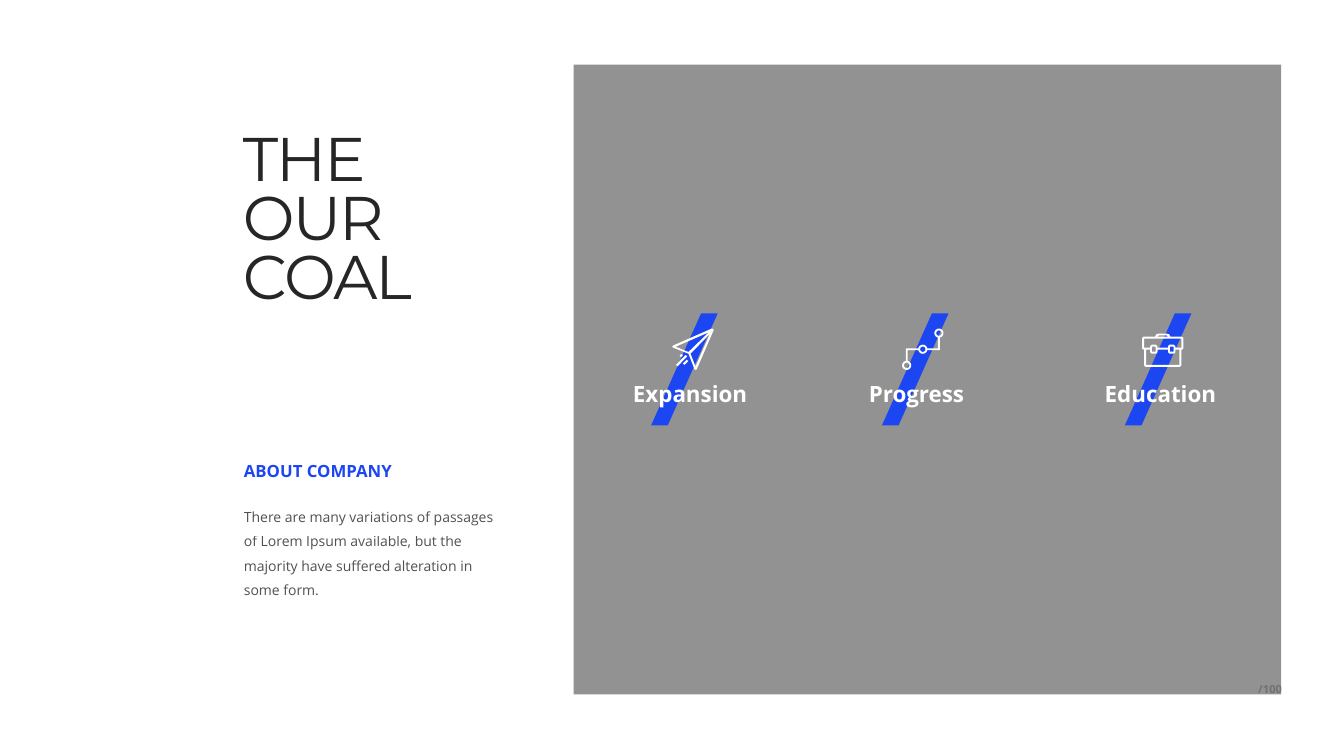
from dataclasses import dataclass
from math import cos, pi, sin

from lxml import etree
from pptx import Presentation
from pptx.dml.color import RGBColor
from pptx.enum.shapes import MSO_SHAPE
from pptx.enum.text import MSO_ANCHOR, MSO_AUTO_SIZE, PP_ALIGN
from pptx.oxml.ns import qn
from pptx.util import Inches, Pt

RECTANGLE = MSO_SHAPE.RECTANGLE
PARALLELOGRAM = MSO_SHAPE.PARALLELOGRAM
LEFT, RIGHT = PP_ALIGN.LEFT, PP_ALIGN.RIGHT
TOP, MIDDLE = MSO_ANCHOR.TOP, MSO_ANCHOR.MIDDLE
FIXED, GROW = MSO_AUTO_SIZE.NONE, MSO_AUTO_SIZE.SHAPE_TO_FIT_TEXT
TITLE_ONLY = 5
COLUMNS, ROWS = 40, 30
ICON_UNIT = 914.4
ICON_SIZE = 410


@dataclass(frozen=True)
class Theme:
    ink: str = "262626"
    accent: str = "1D46F3"
    light: str = "FFFFFF"
    display: str = "Montserrat"
    text: str = "Open Sans"
    title_size: int = 44
    label_size: int = 16
    heading_size: int = 12
    body_size: int = 10
    number_size: int = 8


class SlideBuilder:
    def __init__(self, deck, theme):
        self.theme = theme
        self.column = deck.slide_width / COLUMNS
        self.row = deck.slide_height / ROWS
        self.page = deck.slides.add_slide(deck.slide_layouts[TITLE_ONLY])

    def area(self, left, top, width, height):
        return (round(left * self.column), round(top * self.row),
                round(width * self.column), round(height * self.row))

    def paint(self, fill, color, opacity=100):
        fill.solid()
        fill.fore_color.rgb = RGBColor.from_string(color)
        if opacity < 100:
            for tone in fill._xPr.iter(qn("a:srgbClr")):
                etree.SubElement(tone, qn("a:alpha")).set("val", str(opacity * 1000))

    def finish(self, shape, color, opacity=100):
        shape.shadow.inherit = False
        shape.line.fill.background()
        self.paint(shape.fill, color, opacity)

    def typeset(self, box, text, size, color, font=None, bold=False, opacity=100,
                insets=(0, 0.05, 0, 0.05), wrap=True, fit=FIXED, align=LEFT,
                anchor=TOP, line_spacing=None, tracking=None):
        frame = box.text_frame
        frame.text = text
        frame.word_wrap = wrap
        frame.auto_size = fit
        frame.vertical_anchor = anchor
        (frame.margin_left, frame.margin_top,
         frame.margin_right, frame.margin_bottom) = map(Inches, insets)
        para = frame.paragraphs[0]
        para.alignment = align
        para.space_before = Pt(0)
        if line_spacing:
            para.line_spacing = line_spacing
        for span in para.runs:
            span.font.name = font or self.theme.text
            span.font.size = Pt(size)
            span.font.bold = bold
            self.paint(span.font.fill, color, opacity)
            if tracking:
                span.font._rPr.set("spc", str(round(tracking * 100)))

    def title(self, area, text):
        box = self.page.shapes.title
        box.left, box.top, box.width, box.height = self.area(*area)
        self.typeset(box, text, self.theme.title_size, self.theme.ink,
                     font=self.theme.display, insets=(0, 0.21, 0, 0),
                     line_spacing=0.8, tracking=-1.5)

    def text(self, area, text, size, color, **style):
        box = self.page.shapes.add_textbox(*self.area(*area))
        self.typeset(box, text, size, color, **style)

    def panel(self, area):
        shape = self.page.shapes.add_shape(RECTANGLE, *self.area(*area))
        self.finish(shape, self.theme.ink, 50)

    def slash(self, area):
        shape = self.page.shapes.add_shape(PARALLELOGRAM, *self.area(*area))
        shape.adjustments[0] = 0.75
        self.finish(shape, self.theme.accent)

    def icon(self, left, top, contours):
        first, *others = contours
        builder = self.page.shapes.build_freeform(*first[0], scale=ICON_UNIT)
        builder.add_line_segments(first[1:], close=True)
        for contour in others:
            builder.move_to(*contour[0])
            builder.add_line_segments(contour[1:], close=True)
        x, y, _, _ = self.area(left, top, 0, 0)
        self.finish(builder.convert_to_shape(x, y), self.theme.light)


def flipped(points):
    return [(ICON_SIZE - x, y) for x, y in reversed(points)]


def mirrored(half):
    return half + flipped(half)


def circle(x, y, radius, steps=32):
    angles = [2 * pi * step / steps for step in range(steps)]
    return [(x + radius * cos(angle), y + radius * sin(angle)) for angle in angles]


def plane_icon():
    return [
        [(0, 175), (8, 168), (390, 0), (405, 2), (410, 15), (242, 404),
         (230, 410), (220, 404), (160, 250), (5, 188)],
        [(32, 180), (360, 38), (160, 232)],
        [(230, 376), (180, 250), (372, 52)],
        [(142, 308), (158, 322), (120, 360), (105, 346)],
        [(132, 262), (148, 276), (52, 374), (36, 360)],
        [(90, 252), (105, 265), (86, 284), (72, 270)],
    ]


def progress_icon():
    nodes = [(45, 365), (205, 205), (365, 45)]
    rings = [circle(*node, radius) for node in nodes for radius in (45, 27)]
    link = [(36, 320), (36, 196), (160, 196), (160, 214), (54, 214), (54, 320)]
    back = [(ICON_SIZE - x, ICON_SIZE - y) for x, y in link]
    return rings + [link, back]


def briefcase_icon():
    clasp = [(98, 130), (134, 130), (134, 180), (98, 180)]
    return [
        mirrored([(205, 330), (35, 330), (20, 315), (20, 160), (5, 155), (0, 145),
                  (0, 45), (15, 30), (130, 30), (140, 8), (165, 0)]),
        mirrored([(150, 30), (168, 18)]),
        mirrored([(20, 50), (20, 140), (80, 140), (80, 125), (95, 110),
                  (137, 110), (152, 125), (152, 140)]),
        mirrored([(40, 310), (40, 160), (80, 160), (80, 185), (95, 200),
                  (137, 200), (152, 185), (152, 160)]),
        clasp,
        flipped(clasp),
    ]


def main():
    deck = Presentation()
    deck.slide_width, deck.slide_height = Inches(13.33), Inches(7.5)
    theme = Theme()
    slide = SlideBuilder(deck, theme)

    slide.text((36.48, 26.84, 1.68, 1), "/100", theme.number_size, theme.ink,
               bold=True, opacity=30, insets=(0, 0, 0, 0), align=RIGHT, anchor=MIDDLE)
    slide.title((7.23, 4.48, 12.75, 6.52), "THE\vOUR\vCOAL")
    slide.panel((17.07, 2.56, 21.06, 25))

    goals = [
        ("Expansion", 3.75, 19.38, (20.01, 13.04), plane_icon()),
        ("Progress", 3.18, 26.25, (26.85, 13.04), progress_icon()),
        ("Education", 3.66, 33.48, (33.99, 13.24), briefcase_icon()),
    ]
    for index, (label, width, slash_left, icon_place, contours) in enumerate(goals):
        slide.slash((slash_left, 12.44, 1.98, 4.44))
        slide.text((18.84 + 7.02 * index, 15.08, width, 1.28), label,
                   theme.label_size, theme.light, bold=True, wrap=False, fit=GROW,
                   insets=(0, 0.05, 0.1, 0.05), line_spacing=0.8)
        slide.icon(*icon_place, contours)

    slide.text((7.26, 18.08, 4.44, 1.2), "ABOUT COMPANY", theme.heading_size,
               theme.accent, bold=True, wrap=False, fit=GROW)
    slide.text((7.26, 19.68, 7.47, 5.2),
               "There are many variations of passages of Lorem Ipsum available, "
               "but the majority have suffered alteration in some form.",
               theme.body_size, theme.ink, opacity=80, line_spacing=1.45)
    deck.save("out.pptx")


if __name__ == "__main__":
    main()
